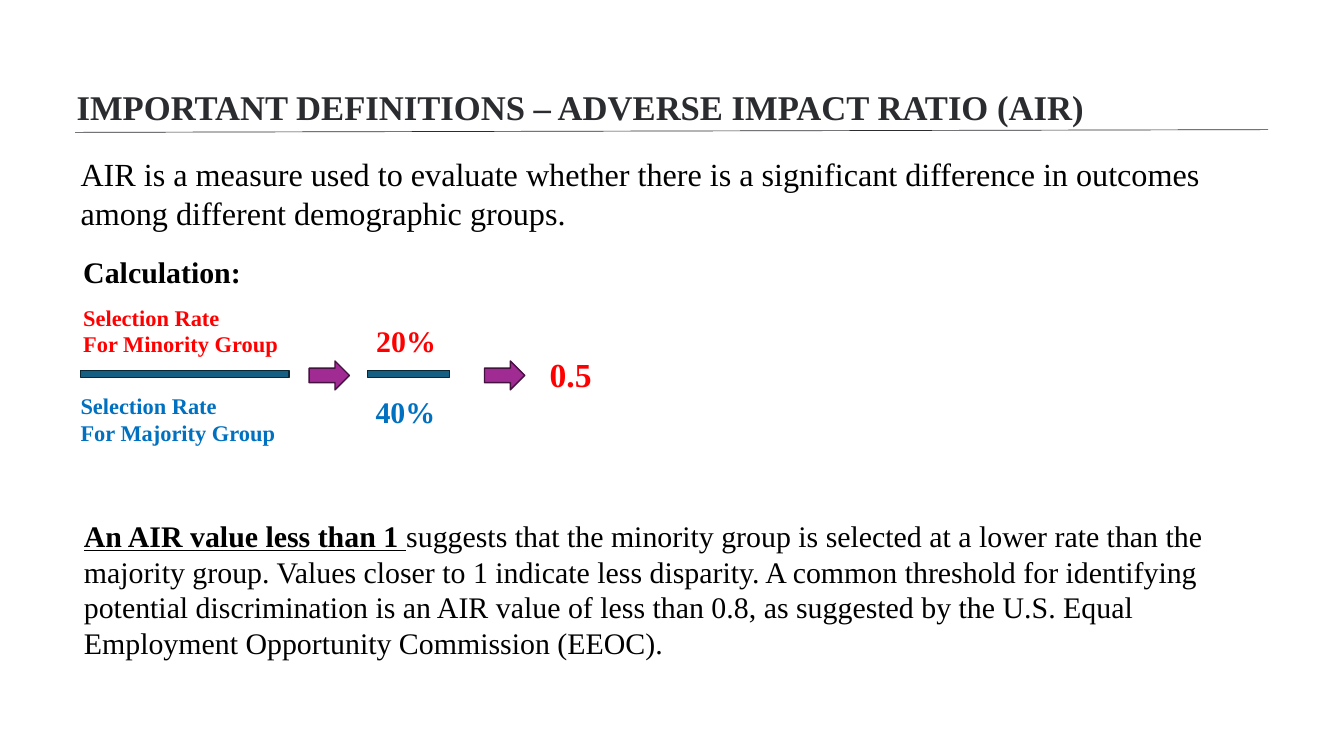
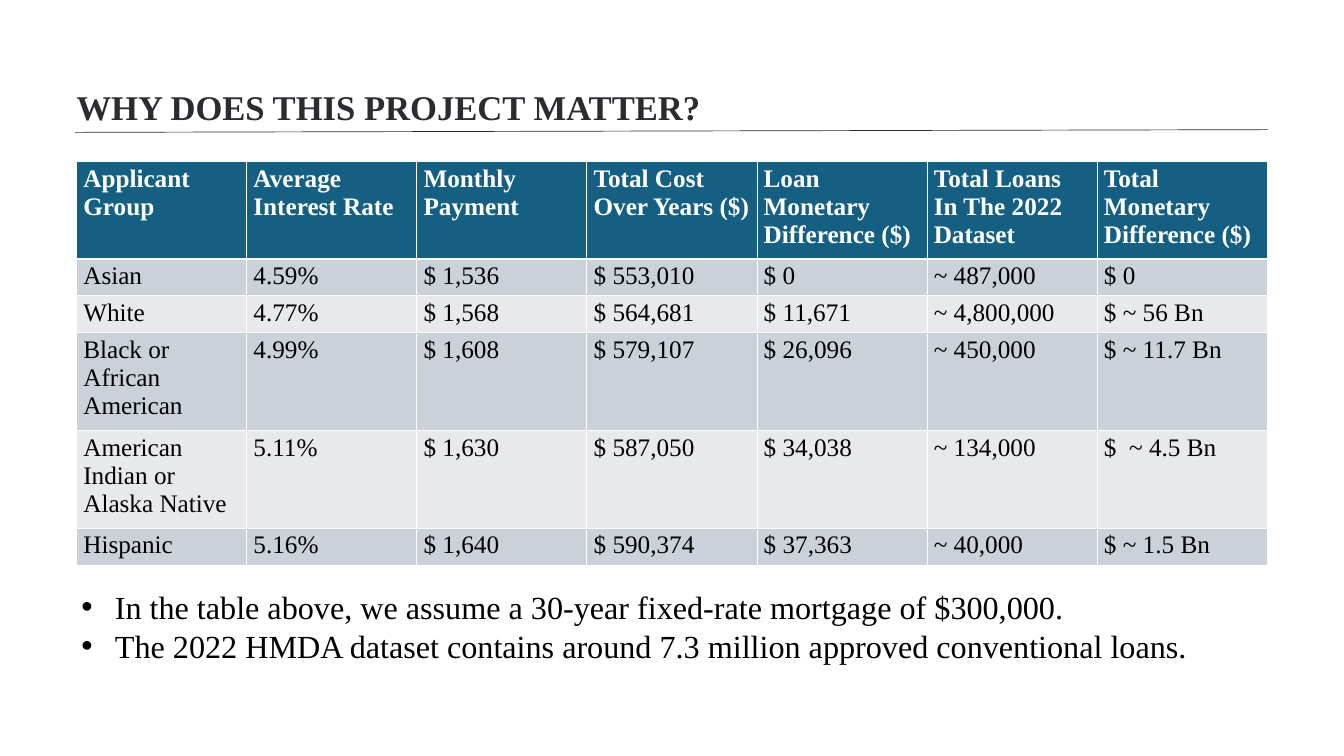
from dataclasses import dataclass

from lxml import etree
from pptx import Presentation
from pptx.dml.color import RGBColor
from pptx.enum.shapes import MSO_CONNECTOR, MSO_SHAPE
from pptx.enum.text import MSO_ANCHOR, MSO_AUTO_SIZE, PP_ALIGN
from pptx.oxml.ns import qn
from pptx.util import Inches, Pt

STRAIGHT = MSO_CONNECTOR.STRAIGHT
ARROW, MINUS = MSO_SHAPE.RIGHT_ARROW, MSO_SHAPE.MATH_MINUS
TOP, LEFT, GROW = MSO_ANCHOR.TOP, PP_ALIGN.LEFT, MSO_AUTO_SIZE.SHAPE_TO_FIT_TEXT

SLIDE_W, SLIDE_H = Inches(20), Inches(11.25)
COL, ROW = SLIDE_W / 100, SLIDE_H / 100
TITLE_ONLY, TITLE_AND_CONTENT = 5, 1
FONT = "Times New Roman"
INSETS = (0.1, 0.05, 0.1, 0.05)

COLORS = {
    "heading": "2B2C30", "text": "000000", "white": "FFFFFF",
    "minority": "FF0000", "majority": "0070C0",
    "teal": "156082", "teal_edge": "082836",
    "purple": "A02B93", "purple_edge": "43123E",
    "band_dark": "CAD1D8", "band_light": "E7E9EC",
}

HEADERS = ["Applicant Group", "Average Interest Rate", "Monthly Payment",
           "Total Cost Over Years ($)", "Loan Monetary Difference ($)",
           "Total Loans In The 2022 Dataset", "Total Monetary Difference ($)"]
GROUPS = [
    ["Asian", "4.59%", "$ 1,536", "$ 553,010", "$ 0", "~ 487,000", "$ 0"],
    ["White", "4.77%", "$ 1,568", "$ 564,681", "$ 11,671", "~ 4,800,000", "$ ~ 56 Bn"],
    ["Black or African American", "4.99%", "$ 1,608", "$ 579,107", "$ 26,096",
     "~ 450,000", "$ ~ 11.7 Bn"],
    ["American Indian or Alaska Native", "5.11%", "$ 1,630", "$ 587,050", "$ 34,038",
     "~ 134,000", "$  ~ 4.5 Bn"],
    ["Hispanic", "5.16%", "$ 1,640", "$ 590,374", "$ 37,363", "~ 40,000", "$ ~ 1.5 Bn"],
]


@dataclass
class Box:
    """A region measured in hundredths of the slide's width and height."""
    x: float
    y: float
    w: float
    h: float

    def inner(self, x, y, w, h):
        return Box(self.x + x, self.y + y, w, h)

    def emu(self):
        return [int(v) for v in (self.x * COL, self.y * ROW, self.w * COL, self.h * ROW)]


TITLE_BOX = Box(5.7, 9.16, 88.75, 15.6)
RULE_BOX = Box(5.6, 17.51, 88.75, -0.36)
DEFINITION_BOX = Box(5.5, 20, 88.8, 11.2)
CALCULATION_BOX = Box(5.5, 33.15, 40, 26.4)
THRESHOLD_BOX = Box(5.75, 68, 88.8, 20.09)
TABLE_BOX = Box(5.7, 21.33, 88.6, 53.3)
NOTES_BOX = Box(5.55, 77.24, 88.75, 11.2)


def rgb(color):
    return RGBColor.from_string(COLORS[color])


def set_format(target, values):
    for attribute, value in values.items():
        setattr(target, attribute, value)


def write(frame, paragraphs, size, color="text", bold=False, insets=INSETS):
    """Fill a text frame; each paragraph is a string or a list of (text, font format)."""
    left, top, right, bottom = (Inches(inset) for inset in insets)
    set_format(frame, {"word_wrap": True, "vertical_anchor": TOP, "margin_left": left,
                       "margin_top": top, "margin_right": right, "margin_bottom": bottom})
    for index, content in enumerate(paragraphs):
        paragraph = frame.add_paragraph() if index else frame.paragraphs[0]
        set_format(paragraph, {"alignment": LEFT, "space_before": Pt(0)})
        for text, extra in [(content, {})] if isinstance(content, str) else content:
            run = paragraph.add_run()
            run.text = text
            set_format(run.font, {"name": FONT, "size": Pt(size), "bold": bold, **extra})
            run.font.color.rgb = rgb(color)


def add_text(slide, box, paragraphs, size, color="text", bold=False):
    frame = slide.shapes.add_textbox(*box.emu()).text_frame
    write(frame, paragraphs, size, color, bold)
    frame.auto_size = GROW


def fill_placeholder(placeholder, box, paragraphs, size, **style):
    left, top, width, height = box.emu()
    set_format(placeholder, {"left": left, "top": top, "width": width, "height": height})
    write(placeholder.text_frame, paragraphs, size, **style)
    placeholder.text_frame.auto_size = GROW


def add_sign(slide, preset, box, color):
    sign = slide.shapes.add_shape(preset, *box.emu())
    sign.shadow.inherit = False
    sign.fill.solid()
    sign.fill.fore_color.rgb = rgb(color)
    sign.line.color.rgb = rgb(color + "_edge")
    sign.line.width = Pt(1.5)


def add_titled_slide(deck, layout, title):
    slide = deck.slides.add_slide(deck.slide_layouts[layout])
    fill_placeholder(slide.shapes.title, TITLE_BOX, [title], 37.1,
                     color="heading", bold=True, insets=(0, 0, 0, 0))
    slide.shapes.title.text_frame.paragraphs[0].line_spacing = 1.4
    x, y, w, h = RULE_BOX.emu()
    rule = slide.shapes.add_connector(STRAIGHT, x, y, x + w, y + h)
    rule.line.color.rgb = rgb("heading")
    rule.line.width = Pt(0.75)
    etree.SubElement(rule._element.spPr, qn("a:effectLst"))
    return slide


def add_calculation(slide, box):
    """Two fractions and their result, joined by arrows."""
    labels = [
        ((0.2, 0, 18.55, 5.69), ["Calculation:"], 32, "text"),
        ((0.2, 6.58, 16.1, 8.09), ["Selection Rate", "For Minority Group"], 24, "minority"),
        ((0, 18.31, 16, 8.09), ["Selection Rate", "For Majority Group"], 24, "majority"),
        ((22, 9.07, 7.05, 5.69), ["20%"], 32, "minority"),
        ((21.95, 18.49, 6.95, 5.69), ["40%"], 32, "majority"),
        ((34.9, 13.24, 4.4, 6.31), ["0.5"], 36, "minority"),
    ]
    for place, lines, size, color in labels:
        add_text(slide, box.inner(*place), lines, size, color, bold=True)
    for x, width in ((-2.3, 21.1), (20.75, 8.3)):
        add_sign(slide, MINUS, box.inner(x, 14.4, width, 3.82), "teal")
    for x in (17.5, 30.55):
        add_sign(slide, ARROW, box.inner(x, 14.6, 3, 3.82), "purple")


def add_border(cell, side, points):
    line = etree.SubElement(cell._tc.get_or_add_tcPr(), qn(f"a:ln{side}"), w=str(Pt(points)))
    fill = etree.SubElement(line, qn("a:solidFill"))
    etree.SubElement(fill, qn("a:srgbClr"), val=COLORS["white"])


def add_cost_table(slide, box):
    rows = [HEADERS, *GROUPS]
    table = slide.shapes.add_table(len(rows), len(HEADERS), *box.emu()).table
    tall, short = Inches(1.45), Inches(0.55)
    for index, values in enumerate(rows):
        is_header = index == 0
        table.rows[index].height = tall if is_header or len(values[0]) > 20 else short
        band = "teal" if is_header else "band_dark" if index % 2 else "band_light"
        for cell, value in zip(table.rows[index].cells, values):
            write(cell.text_frame, [value], 27, "white" if is_header else "text", is_header)
            for side in "LRTB":
                is_divider = (index, side) in ((0, "B"), (1, "T"))
                add_border(cell, side, 3 if is_divider else 1)
            cell.fill.solid()
            cell.fill.fore_color.rgb = rgb(band)


def add_bullets(frame):
    for paragraph in frame.paragraphs:
        properties = paragraph._p.get_or_add_pPr()
        properties.set("marL", str(Inches(0.5)))
        properties.set("indent", str(-Inches(0.5)))
        etree.SubElement(properties, qn("a:buFont"), typeface="Arial")
        etree.SubElement(properties, qn("a:buChar"), char="•")


def build_definition_slide(deck):
    slide = add_titled_slide(deck, TITLE_ONLY,
                             "IMPORTANT DEFINITIONS – ADVERSE IMPACT RATIO (AIR)")
    add_text(slide, DEFINITION_BOX, [
        "AIR is a measure used to evaluate whether there is a significant difference "
        "in outcomes among different demographic groups."], 34.5)
    add_calculation(slide, CALCULATION_BOX)
    add_text(slide, THRESHOLD_BOX, [[
        ("An AIR value less than 1 ", {"bold": True, "underline": True}),
        ("suggests that the minority group is selected at a lower rate than the majority "
         "group. Values closer to 1 indicate less disparity. A common threshold for "
         "identifying potential discrimination is an AIR value of less than 0.8, as "
         "suggested by the U.S. Equal Employment Opportunity Commission (EEOC).", {}),
    ]], 32)


def build_impact_slide(deck):
    slide = add_titled_slide(deck, TITLE_AND_CONTENT, "WHY DOES THIS PROJECT MATTER?")
    add_cost_table(slide, TABLE_BOX)
    notes = slide.placeholders[1]
    fill_placeholder(notes, NOTES_BOX, [
        "In the table above, we assume a 30-year fixed-rate mortgage of $300,000.",
        "The 2022 HMDA dataset contains around 7.3 million approved conventional loans.",
    ], 34.5)
    add_bullets(notes.text_frame)


def main():
    deck = Presentation()
    set_format(deck, {"slide_width": SLIDE_W, "slide_height": SLIDE_H})
    build_definition_slide(deck)
    build_impact_slide(deck)
    deck.save("out.pptx")


if __name__ == "__main__":
    main()
